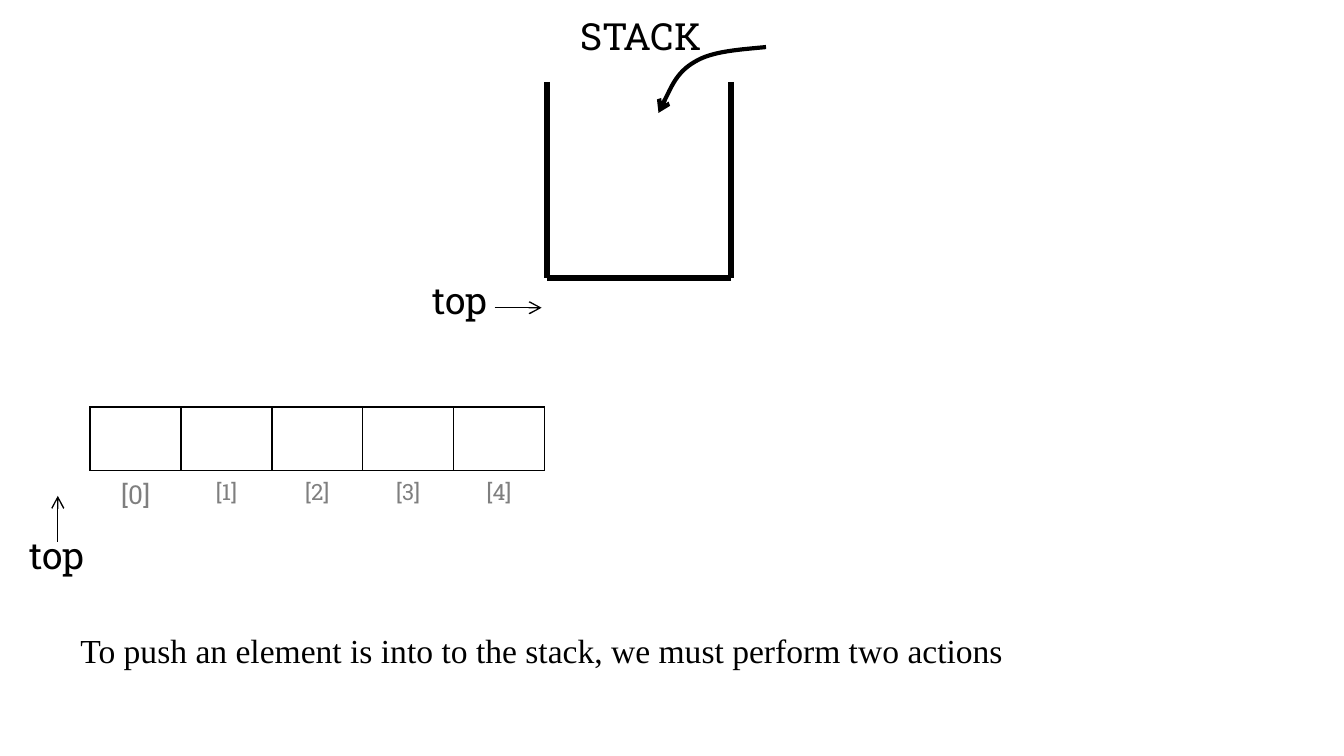
"""Build a slide showing an empty stack and its array before a push."""
from lxml import etree
from pptx import Presentation
from pptx.dml.color import RGBColor
from pptx.enum import shapes, text
from pptx.oxml import parse_xml
from pptx.oxml.ns import nsdecls, qn
from pptx.util import Inches, Pt

BLACK = RGBColor(0, 0, 0)
WHITE = RGBColor(255, 255, 255)
GRAY = RGBColor(0x7F, 0x7F, 0x7F)
SLAB, SERIF = "Roboto Slab", "Times New Roman"

LEFT, RIGHT, RIM, BASE = 4.07, 5.44, 0.61, 2.07
LINES = [
    ((LEFT, RIM), (LEFT, BASE), 3, False),
    ((RIGHT, RIM), (RIGHT, BASE), 3, False),
    ((RIGHT, BASE), (LEFT, BASE), 3, False),
    ((3.68, 2.29), (4.03, 2.29), 0.75, True),
    ((0.43, 4.03), (0.43, 3.69), 0.75, True),
]
LABELS = [
    ("top", (3.12, 2.01, 0.71, 0.48), SLAB, 20),
    ("top", (0.12, 3.91, 0.71, 0.48), SLAB, 20),
    ("STACK", (4.22, 0.05, 1.15, 0.48), SLAB, 20),
    ("To push an element is into to the stack, we must perform two actions",
     (0.5, 4.64, 8.6, 0.4), SERIF, 18),
]
PUSH_CURVE = [(5.7, 0.35), (5.5, 0.37), (5.3, 0.38), (5.17, 0.46),
              (5.03, 0.54), (4.9, 0.84), (4.9, 0.84)]
INDEXES = [("[0]", 14), ("[1]", 12), ("[2]", 12), ("[3]", 12), ("[4]", 12)]
TABLE_LEFT, TABLE_TOP, TABLE_WIDTH = 0.67, 3.03, 3.38
ROW_HEIGHTS = (0.47, 0.36)


def style_line(s, width, arrow):
    s.line.color.rgb = BLACK
    s.line.width = Pt(width)
    if arrow:
        etree.SubElement(s.line._get_or_add_ln(), qn("a:tailEnd"), type="arrow")


def style_run(p, value, font, size, color):
    r = p.add_run()
    r.text = value
    for key, setting in {"name": font, "size": Pt(size)}.items():
        setattr(r.font, key, setting)
    r.font.color.rgb = color


def add_line(slide, start, end, width, arrow):
    s = slide.shapes.add_connector(
        shapes.MSO_CONNECTOR.STRAIGHT, *map(Inches, start + end))
    style_line(s, width, arrow)
    etree.SubElement(s._element.spPr, qn("a:effectLst"))


def add_label(slide, value, box, font, size):
    tf = slide.shapes.add_textbox(*map(Inches, box)).text_frame
    tf.word_wrap = True
    style_run(tf.paragraphs[0], value, font, size, BLACK)


def add_curve(slide, points):
    start, *rest = [(Inches(x), Inches(y)) for x, y in points]
    builder = slide.shapes.build_freeform(*start)
    builder.add_line_segments(rest, close=False)
    s = builder.convert_to_shape()
    s.shadow.inherit = False
    s.fill.background()
    style_line(s, 2.25, True)
    segments = list(s._element.iter(qn("a:lnTo")))
    outline = segments[0].getparent()
    for i in range(0, len(segments), 3):
        bezier = etree.SubElement(outline, qn("a:cubicBezTo"))
        for segment in segments[i:i + 3]:
            bezier.append(segment[0])
            outline.remove(segment)


def add_borders(cell, sides):
    props = cell._tc.get_or_add_tcPr()
    for side in "LRTB":
        fill = ('<a:solidFill><a:srgbClr val="000000"/></a:solidFill>'
                if side in sides else "<a:noFill/>")
        props.append(parse_xml(
            f'<a:ln{side} {nsdecls("a")} w="12700">{fill}</a:ln{side}>'))


def add_array(slide):
    box = (TABLE_LEFT, TABLE_TOP, TABLE_WIDTH, sum(ROW_HEIGHTS))
    table = slide.shapes.add_table(2, len(INDEXES), *map(Inches, box)).table
    table.first_row = table.horz_banding = False
    for row, height in zip(table.rows, ROW_HEIGHTS):
        row.height = Inches(height)
    for i, (index, size) in enumerate(INDEXES):
        table.columns[i].width = Inches(TABLE_WIDTH / len(INDEXES))
        slot, caption = table.cell(0, i), table.cell(1, i)
        add_borders(slot, "LRTB")
        add_borders(caption, "T")
        slot.fill.solid()
        slot.fill.fore_color.rgb = WHITE
        caption.fill.background()
        p = caption.text_frame.paragraphs[0]
        p.alignment = text.PP_ALIGN.CENTER
        style_run(p, index, SLAB, size, GRAY)


def main():
    prs = Presentation()
    prs.slide_width = Inches(10)
    prs.slide_height = prs.slide_width * 9 // 16
    slide = prs.slides.add_slide(prs.slide_layouts[6])
    for line in LINES:
        add_line(slide, *line)
    add_array(slide)
    for label in LABELS:
        add_label(slide, *label)
    add_curve(slide, PUSH_CURVE)
    prs.save("out.pptx")


if __name__ == "__main__":
    main()
